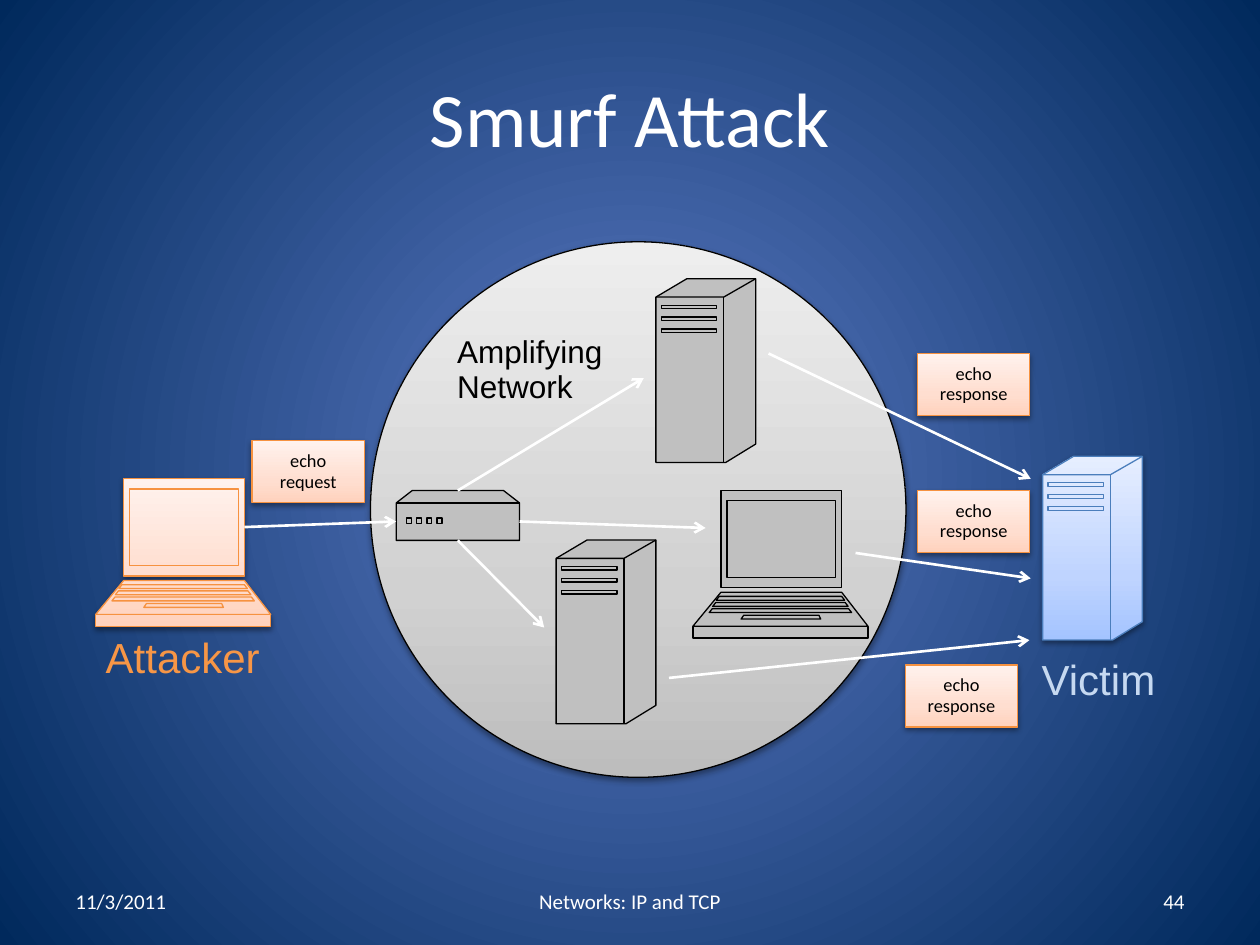
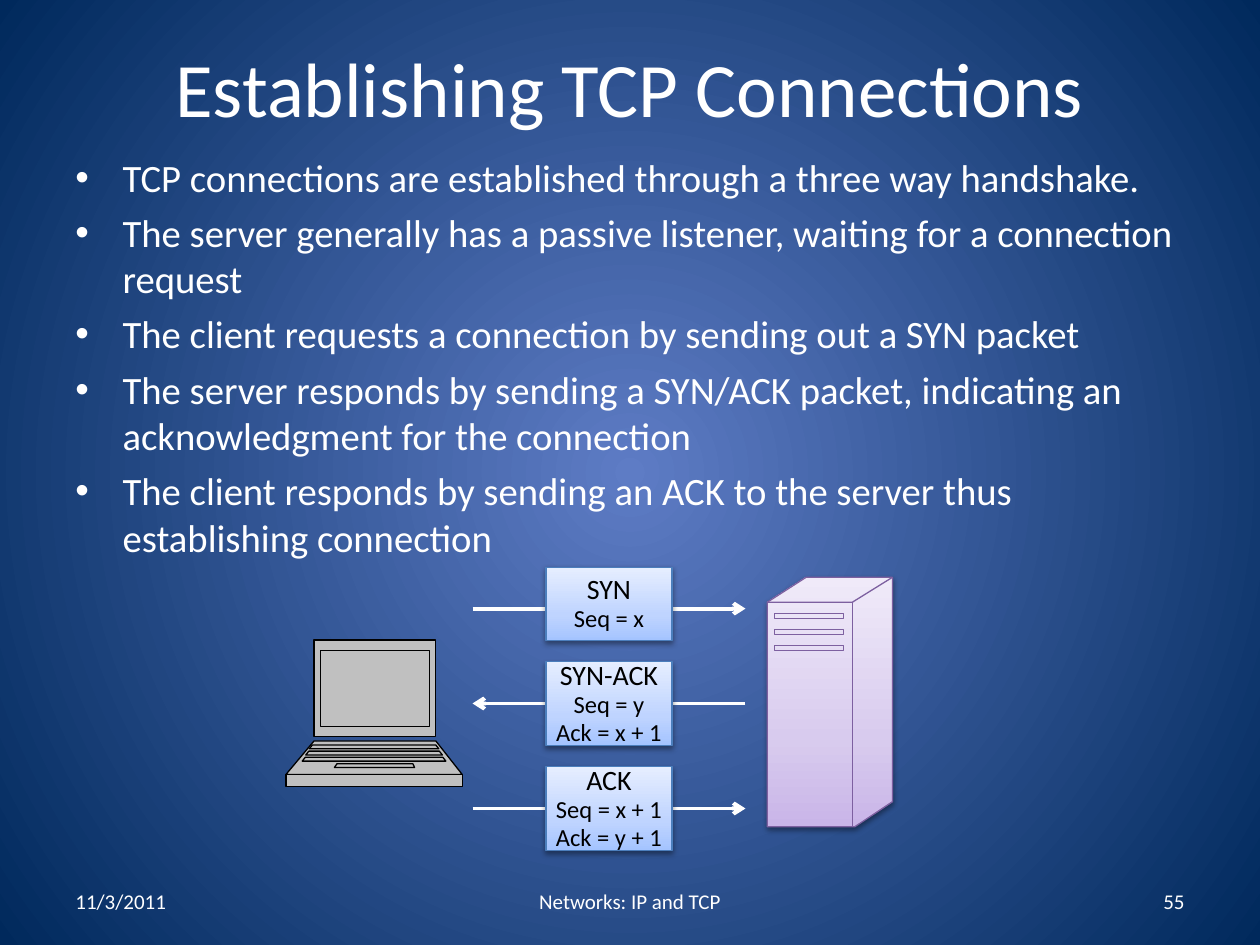
from copy import deepcopy

from lxml import etree
from pptx import Presentation
from pptx.dml.color import RGBColor
from pptx.enum import shapes, text
from pptx.oxml.ns import qn
from pptx.util import Pt


class Theme:
    heading, label_font = "Calibri", "Arial"
    white, black = "FFFFFF", "000000"
    attacker, victim = "F79646", "C6D9F1"
    backdrop = ("5E7CC5", "00295C")
    # Fill stops from bottom to top, line colour, shadow
    network = (("BDBDBD", "D1D1D1", "EEEEEE"), "000000", True)
    orange = (("FFD2BD", "FFDED0", "FFF2ED"), "F69240", True)
    blue = (("A4C4FF", "BFD4FF", "E6EEFF"), "4B7EBC", True)
    purple = (("C9B5E8", "D8CBEE", "F0EAF9"), "7D60A0", True)
    gray = (("C0C0C0",), "000000", False)
    title_size, body_size, footer_size = 44, 22.1, 12
    big_label, small_label, echo_size = 24, 18, 10.5
    packet_size, packet_detail = 16, 14


def write(tf, paras, size, color=Theme.white, font=Theme.heading, rest_size=None,
          align="LEFT", anchor="TOP", spacing=None, before=0, wrap=True,
          inset=(7.2, 3.6, 7.2, 3.6), bullet=False):
    tf.word_wrap = wrap
    tf.auto_size = text.MSO_AUTO_SIZE.NONE
    tf.vertical_anchor = getattr(text.MSO_ANCHOR, anchor)
    tf.margin_left, tf.margin_top, tf.margin_right, tf.margin_bottom = map(Pt, inset)
    for i, line in enumerate(paras):
        p = tf.add_paragraph() if i else tf.paragraphs[0]
        p.alignment = getattr(text.PP_ALIGN, align)
        if spacing:
            p.line_spacing = spacing
        if i and before:
            p.space_before = Pt(before)
        if bullet:
            pPr = p._p.get_or_add_pPr()
            pPr.set("marL", str(Pt(27)))
            pPr.set("indent", str(Pt(-27)))
            etree.SubElement(pPr, qn("a:buFont"), typeface="Arial")
            etree.SubElement(pPr, qn("a:buChar"), char="•")
        r = p.add_run()
        r.text = line
        r.font.name = font
        r.font.size = Pt(rest_size if i and rest_size else size)
        r.font.color.rgb = RGBColor.from_string(color)


def paint(sp, style):
    colors, line, shadow = style
    if len(colors) == 1:
        sp.fill.solid()
        sp.fill.fore_color.rgb = RGBColor.from_string(colors[0])
    else:
        sp.fill.gradient()
        sp.fill.gradient_angle = 90
        stops = sp.fill.gradient_stops
        stops._gsLst.insert(1, deepcopy(stops._gsLst[0]))
        for stop, position, color in zip(sp.fill.gradient_stops, (0, 0.35, 1), colors):
            stop.position = position
            stop.color.rgb = RGBColor.from_string(color)
    sp.line.color.rgb = RGBColor.from_string(line)
    sp.line.width = Pt(0.75)
    sp.shadow.inherit = False
    if shadow:
        effects = sp._element.spPr.find(qn("a:effectLst"))
        outer = etree.SubElement(effects, qn("a:outerShdw"), blurRad="40000",
                                 dist="20000", dir="5400000", rotWithShape="0")
        tint = etree.SubElement(outer, qn("a:srgbClr"), val=Theme.black)
        etree.SubElement(tint, qn("a:alpha"), val="38000")


prs = Presentation()
prs.slide_width, prs.slide_height = Pt(720), Pt(540)

# Shared background: a radial gradient on the master
backdrop = prs.slide_master.background.fill
backdrop.gradient()
for stop, position, color in zip(backdrop.gradient_stops, (0, 1), Theme.backdrop):
    stop.position = position
    stop.color.rgb = RGBColor.from_string(color)
grad = prs.slide_master._element.find(".//" + qn("a:gradFill"))
grad.remove(grad.find(qn("a:lin")))
radial = etree.SubElement(grad, qn("a:path"), {"path": "circle"})
etree.SubElement(radial, qn("a:fillToRect"), dict.fromkeys("ltrb", "50000"))

# Slides with title and footer
slides = []
for title, height, number in [("Smurf Attack", 90, "44"),
                              ("Establishing TCP Connections", 56, "55")]:
    s = prs.slides.add_slide(prs.slide_layouts[5])
    slides.append(s)
    sp = s.shapes.title
    sp.left, sp.top, sp.width, sp.height = Pt(36), Pt(21.6), Pt(648), Pt(height)
    write(sp.text_frame, [title], Theme.title_size, align="CENTER", anchor="MIDDLE")
    for x, w, align, words in [(36, 168, "LEFT", "11/3/2011"),
                               (246, 228, "CENTER", "Networks: IP and TCP"),
                               (516, 168, "RIGHT", number)]:
        sp = s.shapes.add_textbox(Pt(x), Pt(500.5), Pt(w), Pt(28.75))
        write(sp.text_frame, [words], Theme.footer_size, align=align, anchor="MIDDLE")
smurf, handshake = slides

# Handshake steps
sp = handshake.shapes.add_textbox(Pt(36), Pt(84.2), Pt(648), Pt(258))
write(sp.text_frame, [
    "TCP connections are established through a three way handshake.",
    "The server generally has a passive listener, waiting for a connection request",
    "The client requests a connection by sending out a SYN packet",
    "The server responds by sending a SYN/ACK packet, indicating an "
    "acknowledgment for the connection",
    "The client responds by sending an ACK to the server thus establishing connection",
], Theme.body_size, before=5, inset=(7.2, 3.6, 10, 3.6), bullet=True)

# Amplifying network
sp = smurf.shapes.add_shape(shapes.MSO_SHAPE.OVAL, Pt(211.7), Pt(138.2), Pt(306), Pt(306))
paint(sp, Theme.network)

# Device outlines in percent of their box; up to three points make an open line
server = [[(0, 10), (31, 0), (100, 0), (100, 90), (70, 100), (0, 100)],
          [(0, 10), (68, 10), (100, 0)], [(68, 10), (68, 100)]]
for i in range(3):
    y = 14.4 + 6.5 * i
    server.append([(5.5, y), (61, y), (61, y + 2), (5.5, y + 2)])

laptop = [[(16, 0), (85, 0), (85, 66), (16, 66)],
          [(16, 69), (85, 69), (100, 92), (0, 92)],
          [(0, 92), (100, 92), (100, 100), (0, 100)],
          [(19.5, 7), (81.5, 7), (81.5, 59), (19.5, 59)],
          [(29, 84.6), (72, 84.6), (73, 87.2), (27.5, 87.2)]]
for i in range(3):
    x, y = 15 - 2 * i, 71.8 + 4.2 * i
    laptop.append([(x, y), (100 - x, y), (101.7 - x, y + 2.6), (x - 1.7, y + 2.6)])

router = [[(0, 25), (13, 0), (87, 0), (100, 25), (100, 100), (0, 100)],
          [(0, 25), (100, 25)]]
for i in range(4):
    x = 8.5 + 8.2 * i
    router.append([(x, 55), (x + 4, 55), (x + 4, 66), (x, 66)])

# Devices: slide, outlines, number of filled outlines, box, style
for s, outlines, filled, (x, y, w, h), style in [
    (smurf, laptop, 3, (54.7, 273.6, 100, 84.3), Theme.orange),
    (smurf, router, 1, (226.4, 280.3, 70.5, 28.5), Theme.gray),
    (smurf, server, 1, (595.8, 260.8, 57, 105), Theme.blue),
    (smurf, server, 1, (317.8, 308.6, 57, 105), Theme.gray),
    (smurf, server, 1, (374.8, 159.3, 57, 105), Theme.gray),
    (smurf, laptop, 3, (396, 280.3, 100, 84.3), Theme.gray),
    (handshake, laptop, 3, (163.4, 365.8, 100.8, 83.5), Theme.gray),
    (handshake, server, 1, (438.5, 329.9, 71.5, 142.5), Theme.purple),
]:
    fb = None
    for outline in outlines:
        points = [(Pt(x + w * px / 100), Pt(y + h * py / 100)) for px, py in outline]
        if fb is None:
            fb = s.shapes.build_freeform(*points[0], scale=1.0)
        else:
            fb.move_to(*points[0])
        fb.add_line_segments(points[1:], close=len(points) > 3)
    sp = fb.convert_to_shape()
    paint(sp, style)
    # Give every outline its own path, so that inner ones cut no holes
    whole = sp._element.find(".//" + qn("a:path"))
    parent = whole.getparent()
    parent.remove(whole)
    for el in list(whole):
        if el.tag == qn("a:moveTo"):
            part = etree.SubElement(parent, qn("a:path"), w=whole.get("w"), h=whole.get("h"))
            if len(parent) > filled:
                part.set("fill", "none")
        part.append(el)

# Arrows: slide, line width, start, end
for s, width, x1, y1, x2, y2 in [
    (smurf, 1.5, 261.6, 280.3, 367.9, 216),
    (smurf, 1.5, 139.7, 301.2, 226.4, 298),
    (smurf, 1.5, 296.9, 298, 403.2, 301.7),
    (smurf, 1.5, 439.2, 202, 589, 273.6),
    (smurf, 1.5, 261.6, 308.8, 311, 358.6),
    (smurf, 1.5, 488.9, 316, 589, 330.5),
    (smurf, 1.5, 382.3, 387.4, 588.3, 365.8),
    (handshake, 2.25, 270, 347.8, 426, 347.8),
    (handshake, 2.25, 426, 402, 270, 402),
    (handshake, 2.25, 270, 462, 426, 462),
]:
    c = s.shapes.add_connector(shapes.MSO_CONNECTOR.STRAIGHT, Pt(x1), Pt(y1), Pt(x2), Pt(y2))
    c.line.color.rgb = RGBColor.from_string(Theme.white)
    c.line.width = Pt(width)
    etree.SubElement(c.line._get_or_add_ln(), qn("a:tailEnd"), type="arrow")
    etree.SubElement(c._element.spPr, qn("a:effectLst"))

# Labels on the attack diagram
for x, y, w, h, lines, size, color, align, wrap in [
    (52.6, 360, 103.7, 34.5, ["Attacker"], Theme.big_label, Theme.attacker, "CENTER", False),
    (588.2, 372.2, 80, 34.5, ["Victim"], Theme.big_label, Theme.victim, "LEFT", False),
    (254.2, 188, 149, 57, ["Amplifying", "Network"], Theme.small_label, Theme.black,
     "LEFT", True),
]:
    sp = smurf.shapes.add_textbox(Pt(x), Pt(y), Pt(w), Pt(h))
    write(sp.text_frame, lines, size, color, Theme.label_font, align=align,
          spacing=0.93, wrap=wrap)

# Echo packets
for x, y, words in [(144, 251.8, "echo request"), (524.3, 202, "echo response"),
                    (517.3, 380, "echo response"), (524.3, 280.3, "echo response")]:
    sp = smurf.shapes.add_shape(shapes.MSO_SHAPE.RECTANGLE, Pt(x), Pt(y), Pt(64.2), Pt(35.5))
    paint(sp, Theme.orange)
    write(sp.text_frame, [words], Theme.echo_size, Theme.black, align="CENTER",
          anchor="MIDDLE", spacing=0.93)

# Handshake packets
for y, h, lines in [(324.2, 41.8, ["SYN", "Seq = x"]),
                    (378, 48, ["SYN-ACK", "Seq = y", "Ack = x + 1"]),
                    (438, 48, ["ACK", "Seq = x + 1", "Ack = y + 1"])]:
    sp = handshake.shapes.add_shape(shapes.MSO_SHAPE.RECTANGLE, Pt(312), Pt(y), Pt(72), Pt(h))
    paint(sp, Theme.blue)
    write(sp.text_frame, lines, Theme.packet_size, Theme.black,
          rest_size=Theme.packet_detail, align="CENTER", anchor="MIDDLE",
          spacing=0.93, wrap=False, inset=(0, 0, 0, 0))

prs.save("out.pptx")
